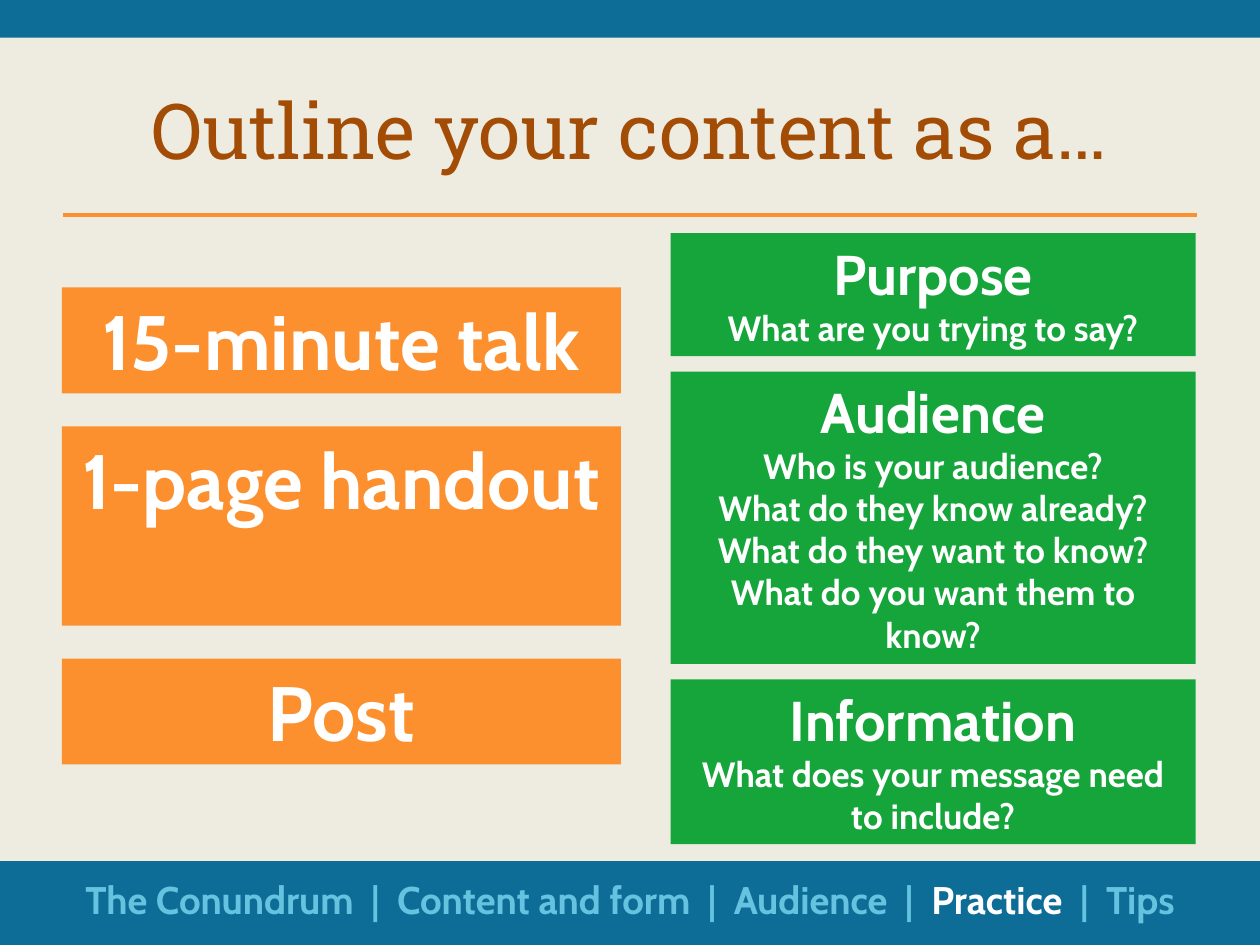
import pptx
import pptx.util
import pptx.dml.color
import pptx.enum.shapes
import pptx.enum.text
import pptx.oxml

Pt = pptx.util.Pt
RGBColor = pptx.dml.color.RGBColor
PP_ALIGN = pptx.enum.text.PP_ALIGN
MSO_ANCHOR = pptx.enum.text.MSO_ANCHOR

CREAM = RGBColor(0xEE, 0xEC, 0xE1)
BLUE = RGBColor(0x0D, 0x6D, 0x97)
SKY = RGBColor(0x65, 0xC3, 0xDF)
ORANGE = RGBColor(0xFD, 0x90, 0x2E)
GREEN = RGBColor(0x15, 0xA5, 0x3B)
RUST = RGBColor(0xA3, 0x4C, 0x05)
WHITE = RGBColor(0xFF, 0xFF, 0xFF)

WIDTH, HEIGHT = 720, 540
FORMS = [("15-minute talk", 60.5), ("1-page handout", 113.8), ("Post", 60.5)]
QUESTIONS = [
    ("Purpose", ["What are you trying to say?"], 70.3),
    ("Audience", ["Who is your audience?",
                  "What do they know already? What do they want to know? "
                  "What do you want them to know?"], 167.1),
    ("Information", ["What does your message need to include?"], 94.2),
]
SECTIONS = ["The Conundrum", "Content and form", "Audience", "Practice", "Tips"]


def add_run(p, text, size, color, name="Cabin", bold=True):
    """Add a formatted run to a paragraph."""
    r = p.add_run()
    r.text = text
    for key, value in {"size": Pt(size), "name": name, "bold": bold}.items():
        setattr(r.font, key, value)
    r.font.color.rgb = color


def add_box(s, x, y, w, h, color):
    """Add a plain filled rectangle and return its top-anchored text frame."""
    sp = s.shapes.add_shape(pptx.enum.shapes.MSO_SHAPE.RECTANGLE,
                            Pt(x), Pt(y), Pt(w), Pt(h))
    sp.shadow.inherit = False
    sp.fill.solid()
    sp.fill.fore_color.rgb = color
    sp.line.fill.background()
    tf = sp.text_frame
    tf.word_wrap = True
    tf.vertical_anchor = MSO_ANCHOR.TOP
    tf.paragraphs[0].alignment = PP_ALIGN.CENTER
    return tf


def add_header(s, x, y, w, h):
    """Place the title and the rule beneath it."""
    sp = s.shapes.title
    for key, value in {"left": x, "top": y, "width": w, "height": h}.items():
        setattr(sp, key, Pt(value))
    sp.text_frame.vertical_anchor = MSO_ANCHOR.MIDDLE
    p = sp.text_frame.paragraphs[0]
    p.alignment = PP_ALIGN.CENTER
    add_run(p, "Outline your content as a…", 44, RUST, "Roboto Slab", False)
    rule_y = Pt(y + h + 11.4)
    line = s.shapes.add_connector(pptx.enum.shapes.MSO_CONNECTOR.STRAIGHT,
                                  Pt(x + 36), rule_y, Pt(x + w - 36), rule_y)
    line.line.color.rgb = ORANGE
    line.line.width = Pt(2)
    props = line._element.spPr
    props.append(pptx.oxml.parse_xml(
        '<a:effectLst xmlns:a="http://schemas.openxmlformats.org/drawingml/2006/main"/>'))


def add_forms(s, x, y, w, gap):
    """Stack the content forms in a column."""
    for text, h in FORMS:
        tf = add_box(s, x, y, w, h, ORANGE)
        add_run(tf.paragraphs[0], text, 44, WHITE)
        y += h + gap


def add_questions(s, x, y, w, gap):
    """Stack the headed question boxes in a column."""
    for heading, lines, h in QUESTIONS:
        tf = add_box(s, x, y, w, h, GREEN)
        p = tf.paragraphs[0]
        add_run(p, heading, 32, WHITE)
        p.add_line_break()
        add_run(p, lines[0], 20, WHITE)
        for text in lines[1:]:
            p = tf.add_paragraph()
            p.alignment = PP_ALIGN.CENTER
            add_run(p, text, 20, WHITE)
        y += h + gap


def add_footer(s, x, y, w, h, current):
    """Place the section bar with the current section highlighted."""
    add_box(s, x, y, w, h, BLUE)
    sp = s.shapes.add_textbox(Pt(x + 36), Pt(y + 4.8), Pt(w - 72), Pt(34))
    sp.text_frame.word_wrap = True
    p = sp.text_frame.paragraphs[0]
    p.alignment = PP_ALIGN.CENTER
    for i, section in enumerate(SECTIONS):
        if i:
            add_run(p, "  |  ", 22, SKY)
        add_run(p, section, 22, WHITE if section == current else SKY)


def main():
    """Build and save the slide."""
    prs = pptx.Presentation()
    prs.slide_width, prs.slide_height = Pt(WIDTH), Pt(HEIGHT)
    s = prs.slides.add_slide(prs.slide_layouts[5])
    s.background.fill.solid()
    s.background.fill.fore_color.rgb = CREAM
    add_box(s, 0, 0, WIDTH, 21.6, BLUE)
    add_header(s, 0, 36, WIDTH, 75.6)
    add_questions(s, 383.2, 133.2, 300, 8.8)
    add_forms(s, 35.3, 164.3, 319.5, 18.9)
    add_footer(s, 0, 492, WIDTH, 48, "Practice")
    prs.save("out.pptx")


if __name__ == "__main__":
    main()
